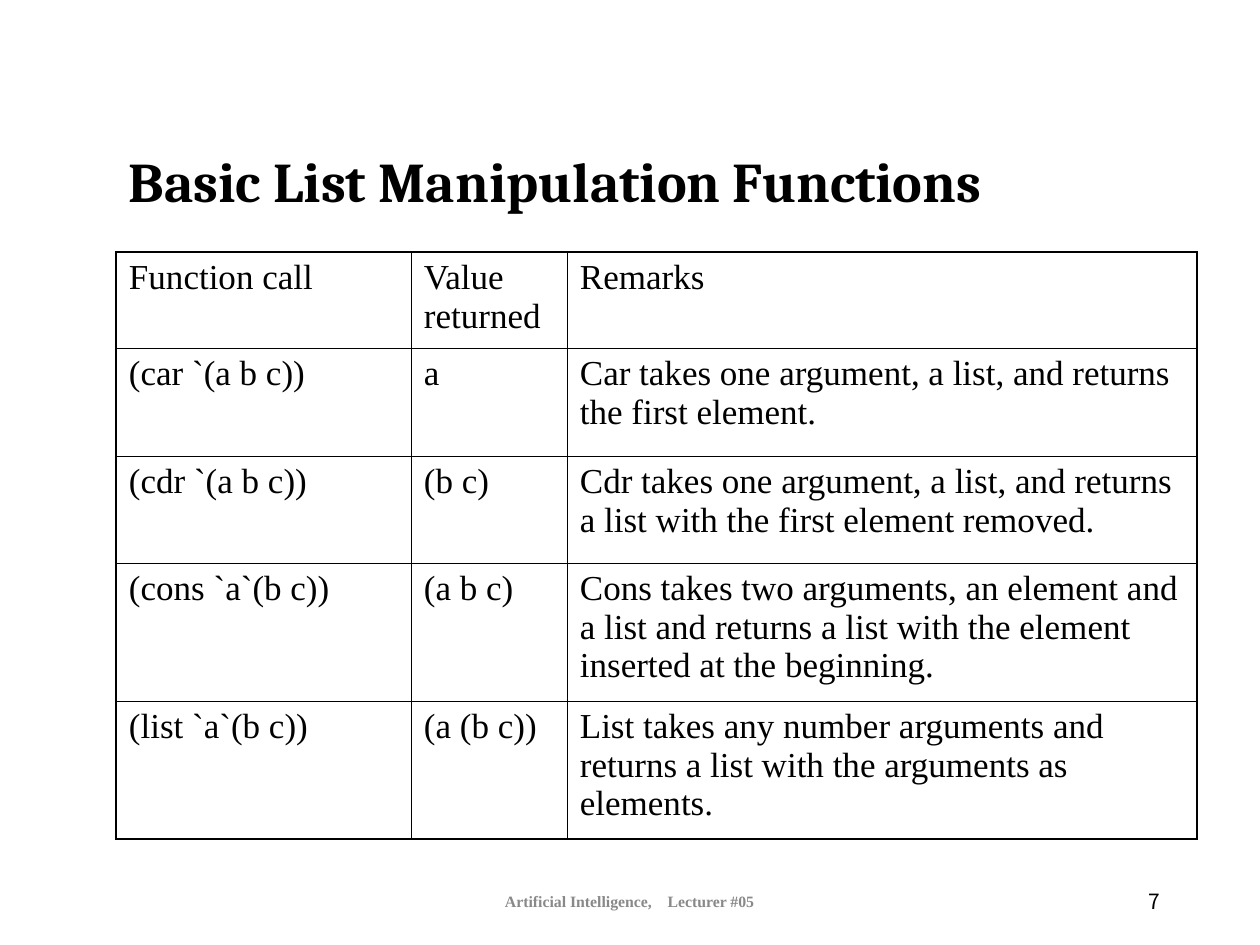
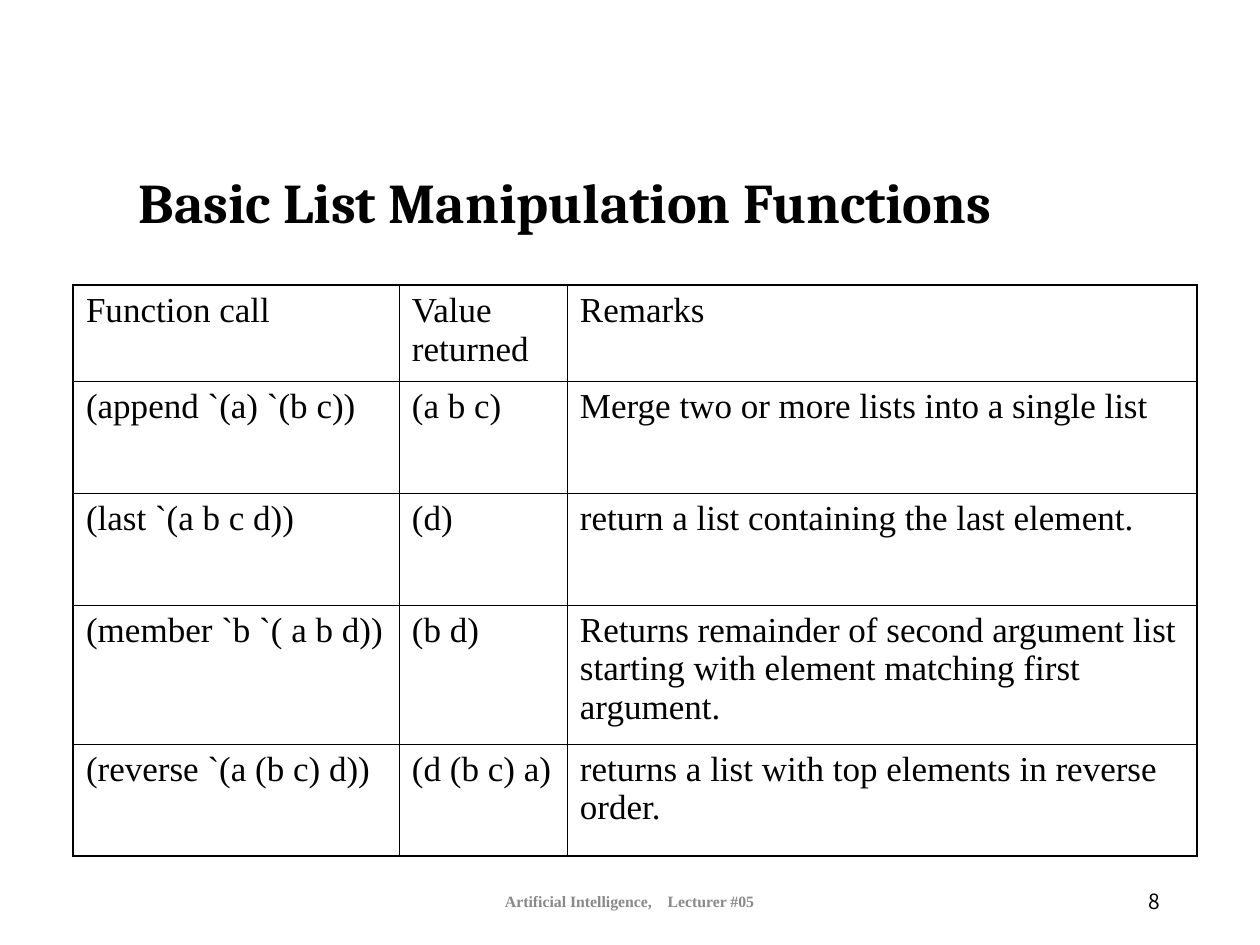
import pptx
import pptx.util
import pptx.dml.color
import pptx.enum.text
import pptx.oxml.ns
import lxml.etree
import dataclasses

PX = pptx.util.Inches(1) / 126
ALIGN = pptx.enum.text.PP_ALIGN
MIDDLE = pptx.enum.text.MSO_ANCHOR.MIDDLE


def px(length):
    return round(length * PX)


@dataclasses.dataclass(frozen=True)
class Theme:
    ink: str = "000000"
    paper: str = "FFFFFF"
    muted: str = "898989"
    title: tuple = ("Cambria", 32, True)
    cell: tuple = ("Times New Roman", 20, False)
    footer: tuple = ("Times New Roman", 9, True)
    number: tuple = ("Noto Sans CJK KR", 12, False)
    outer_line: float = 1.08
    inner_line: float = 0.45
    margin_x: int = 13
    margin_y: int = 6


THEME = Theme()
TITLE = "Basic List Manipulation Functions"
HEADER = ("Function call", "Value returned", "Remarks")
FOOTER_BOX = (417, 876, 425, 50)
NUMBER_BOX = (890, 876, 283, 50)

PAGES = [
    {
        "number": "7",
        "title_box": (116, 126, 1071, 116),
        "table_corner": (116, 252),
        "columns": (295, 156, 630),
        "rows": (93, 108, 107, 134, 129),
        "calls": [
            ("(car `(a b c))", "a", "Car takes one argument, a list, and returns the first element."),
            ("(cdr `(a b c))", "(b c)",
             "Cdr takes one argument, a list, and returns a list with the first element removed."),
            ("(cons `a`(b c))", "(a b c)",
             "Cons takes two arguments, an element and a list and returns a list "
             "with the element inserted at the beginning."),
            ("(list `a`(b c))", "(a (b c))",
             "List takes any number arguments and returns a list with the arguments as elements."),
        ],
    },
    {
        "number": "8",
        "title_box": (126, 147, 1071, 116),
        "table_corner": (73, 285),
        "columns": (326, 168, 630),
        "rows": (96, 112, 112, 139, 112),
        "calls": [
            ("(append `(a) `(b c))", "(a b c)", "Merge two or more lists into a single list"),
            ("(last `(a b c d))", "(d)", "return a list containing the last element."),
            ("(member `b `( a b d))", "(b d)",
             "Returns remainder of second argument list starting with element matching first argument."),
            ("(reverse `(a (b c) d))", "(d (b c) a)",
             "returns a list with top elements in reverse order."),
        ],
    },
]


def apply(target, values):
    for name, value in values.items():
        setattr(target, name, value)


def margins():
    return {
        "margin_left": px(THEME.margin_x),
        "margin_right": px(THEME.margin_x),
        "margin_top": px(THEME.margin_y),
        "margin_bottom": px(THEME.margin_y),
    }


def add_span(para, text, style, color):
    span = para.add_run()
    span.text = text
    name, size, bold = style
    apply(span.font, {"name": name, "size": pptx.util.Pt(size), "bold": bold})
    span.font.color.rgb = pptx.dml.color.RGBColor.from_string(color)
    return span


def add_line_of_text(page, box, alignment):
    frame = page.shapes.add_textbox(*map(px, box)).text_frame
    apply(frame, {"word_wrap": True, "vertical_anchor": MIDDLE, **margins()})
    para = frame.paragraphs[0]
    para.alignment = alignment
    return para


def add_title(page, box):
    para = add_line_of_text(page, box, ALIGN.LEFT)
    para.line_spacing = 0.9
    add_span(para, TITLE, THEME.title, THEME.ink)


def add_footer(page, number):
    para = add_line_of_text(page, FOOTER_BOX, ALIGN.CENTER)
    add_span(para, "Artificial Intelligence,", THEME.footer, THEME.muted)
    gap = add_span(para, " ", THEME.footer, THEME.muted)
    gap.font._element.set("spc", "675")
    add_span(para, "Lecturer #05", THEME.footer, THEME.muted)
    para = add_line_of_text(page, NUMBER_BOX, ALIGN.RIGHT)
    add_span(para, number, THEME.number, THEME.ink)


def set_borders(cell, outer_sides):
    properties = cell._tc.get_or_add_tcPr()
    for side in "LRTB":
        width = THEME.outer_line if side in outer_sides else THEME.inner_line
        line = lxml.etree.SubElement(properties, pptx.oxml.ns.qn(f"a:ln{side}"), w=str(pptx.util.Pt(width)))
        fill = lxml.etree.SubElement(line, pptx.oxml.ns.qn("a:solidFill"))
        lxml.etree.SubElement(fill, pptx.oxml.ns.qn("a:srgbClr"), val=THEME.ink)


def add_function_table(page, corner, columns, rows, calls):
    box = (*corner, sum(columns), sum(rows))
    table = page.shapes.add_table(len(rows), len(columns), *map(px, box)).table
    apply(table, {"first_row": False, "horz_banding": False})
    for column, width in zip(table.columns, columns):
        column.width = px(width)
    for row, height in zip(table.rows, rows):
        row.height = px(height)
    for r, texts in enumerate([HEADER, *calls]):
        for c, text in enumerate(texts):
            cell = table.cell(r, c)
            edges = {"L": c == 0, "R": c == len(columns) - 1, "T": r == 0, "B": r == len(rows) - 1}
            set_borders(cell, [side for side, outer in edges.items() if outer])
            apply(cell, margins())
            cell.fill.solid()
            cell.fill.fore_color.rgb = pptx.dml.color.RGBColor.from_string(THEME.paper)
            add_span(cell.text_frame.paragraphs[0], text, THEME.cell, THEME.ink)


def add_function_page(deck, content):
    page = deck.slides.add_slide(deck.slide_layouts[6])
    add_title(page, content["title_box"])
    add_footer(page, content["number"])
    add_function_table(page, content["table_corner"], content["columns"], content["rows"], content["calls"])


def main():
    deck = pptx.Presentation()
    apply(deck, {"slide_width": px(1260), "slide_height": px(945)})
    for content in PAGES:
        add_function_page(deck, content)
    deck.save("out.pptx")


if __name__ == "__main__":
    main()
